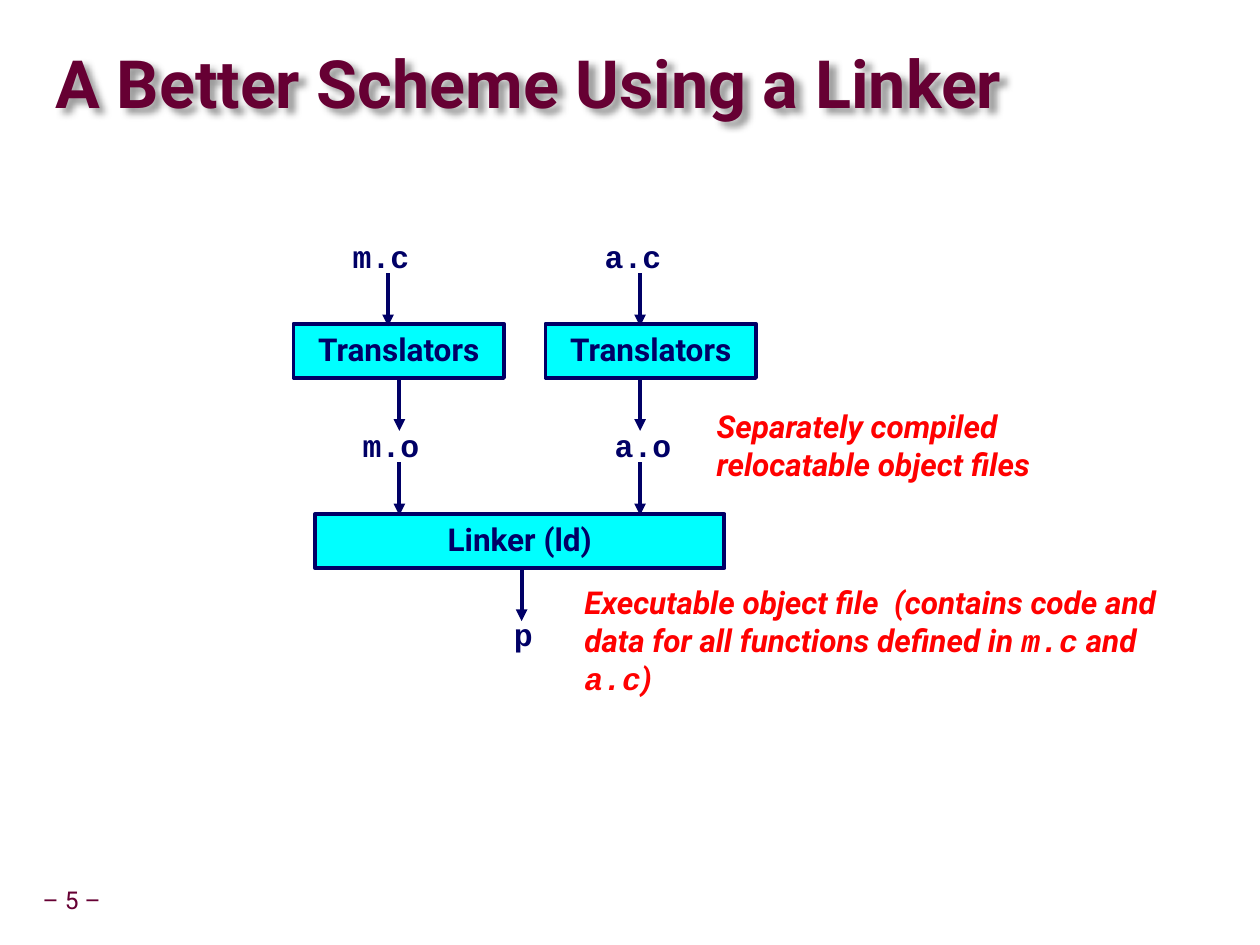
import pptx
import pptx.util
import pptx.dml.color
import pptx.enum.shapes
import pptx.enum.text
import pptx.oxml
import pptx.oxml.ns

Inches = pptx.util.Inches
Pt = pptx.util.Pt
ALIGN = pptx.enum.text.PP_ALIGN
ANCHOR = pptx.enum.text.MSO_ANCHOR
COLORS = {"title": "660033", "ink": "000066", "box": "00FFFF", "note": "FF0000"}
SANS, MONO = "Roboto", "Courier New"


def color(name):
    return pptx.dml.color.RGBColor.from_string(COLORS[name])


def set_font(para, size, ink, name=None, bold=True, italic=False):
    font = para.font
    font.size, font.bold, font.italic = Pt(size), bold, italic
    font.color.rgb = color(ink)
    if name:
        font.name = name


def set_margins(frame, margin):
    frame.margin_left = frame.margin_right = Inches(margin)
    frame.margin_top = frame.margin_bottom = Inches(margin)


def add_effects(shape, content=""):
    shape._element.spPr.append(pptx.oxml.parse_xml(
        f'<a:effectLst {pptx.oxml.ns.nsdecls("a")}>{content}</a:effectLst>'))


def add_title(page, text):
    title = page.shapes.title
    title.left, title.top = Inches(0.44), Inches(0.27)
    title.width, title.height = Inches(9.53), Inches(0.85)
    frame = title.text_frame
    frame.text = text
    frame.auto_size = pptx.enum.text.MSO_AUTO_SIZE.NONE
    frame.vertical_anchor = ANCHOR.MIDDLE
    set_margins(frame, 0)
    para = frame.paragraphs[0]
    para.alignment, para.line_spacing = ALIGN.LEFT, 0.87
    set_font(para, 38, "title", SANS)
    add_effects(title, '<a:outerShdw blurRad="50800" dist="50800" dir="2700000">'
                       '<a:srgbClr val="000000"><a:alpha val="40000"/></a:srgbClr>'
                       '</a:outerShdw>')


def add_text_box(page, left, top, width, height, wrap=False):
    box = page.shapes.add_textbox(Inches(left), Inches(top), Inches(width), Inches(height))
    box.text_frame.word_wrap = wrap
    return box.text_frame


def add_page_number(page, text):
    frame = add_text_box(page, 0.24, 7, 0.66, 0.31)
    frame.vertical_anchor = ANCHOR.MIDDLE
    set_margins(frame, 0.05)
    para = frame.paragraphs[0]
    para.text = text
    para.alignment, para.line_spacing = ALIGN.CENTER, 0.9
    set_font(para, 14, "title", SANS, bold=False)


def add_file_name(page, text, left, top, width=0.65):
    para = add_text_box(page, left, top, width, 0.4).paragraphs[0]
    para.text = text
    set_font(para, 18, "ink", MONO)


def add_stage(page, text, left, top, width):
    stage = page.shapes.add_shape(pptx.enum.shapes.MSO_SHAPE.RECTANGLE,
                                  Inches(left), Inches(top), Inches(width), Inches(0.43))
    stage.shadow.inherit = False
    stage.fill.solid()
    stage.fill.fore_color.rgb = color("box")
    stage.line.color.rgb = color("ink")
    stage.line.width = Pt(2.25)
    frame = stage.text_frame
    frame.vertical_anchor = ANCHOR.TOP
    para = frame.paragraphs[0]
    para.text = text
    para.alignment = ALIGN.CENTER
    set_font(para, 18, "ink", SANS)


def add_arrow(page, x, top, length=0.42):
    arrow = page.shapes.add_connector(pptx.enum.shapes.MSO_CONNECTOR.STRAIGHT,
                                      Inches(x), Inches(top), Inches(x), Inches(top + length))
    arrow.line.color.rgb = color("ink")
    arrow.line.width = Pt(2.25)
    arrow.line._get_or_add_ln().append(pptx.oxml.parse_xml(
        f'<a:tailEnd {pptx.oxml.ns.nsdecls("a")} type="triangle"/>'))
    add_effects(arrow)


def add_note(page, spans, left, top, width, height):
    """Write spans that alternate between sans and monospaced text."""
    para = add_text_box(page, left, top, width, height, wrap=True).paragraphs[0]
    set_font(para, 18, "note", italic=True)
    for index, text in enumerate(spans):
        span = para.add_run()
        span.text = text
        span.font.name = MONO if index % 2 else SANS


def main():
    deck = pptx.Presentation()
    deck.slide_width, deck.slide_height = Inches(10), Inches(7.5)
    page = deck.slides.add_slide(deck.slide_layouts[5])
    add_title(page, "A Better Scheme Using a Linker")
    add_page_number(page, "– 5 –")

    # One column per source file: name, left edge, first arrow, lower arrows
    for name, left, source_x, object_x in (("m", 2.33, 3.08, 3.17), ("a", 4.33, 5.08, 5.08)):
        add_stage(page, "Translators", left, 2.57, 1.67)
        add_file_name(page, f"{name}.c", left + 0.37, 1.83)
        add_file_name(page, f"{name}.o", left + 0.45, 3.33)
        add_arrow(page, source_x, 2.17)
        add_arrow(page, object_x, 3)
        add_arrow(page, object_x, 3.67)

    # Linker and its output
    add_stage(page, "Linker (ld)", 2.5, 4.08, 3.25)
    add_arrow(page, 4.14, 4.51)
    add_file_name(page, "p", 3.98, 4.83, 0.35)

    # Notes
    add_note(page, ["Separately compiled relocatable object files"], 5.59, 3.18, 3.26, 0.7)
    add_note(page, ["Executable object file  (contains code and data for all functions defined in ",
                    "m.c", " and ", "a.c", ")"], 4.54, 4.58, 4.97, 1)

    deck.save("out.pptx")


if __name__ == "__main__":
    main()
